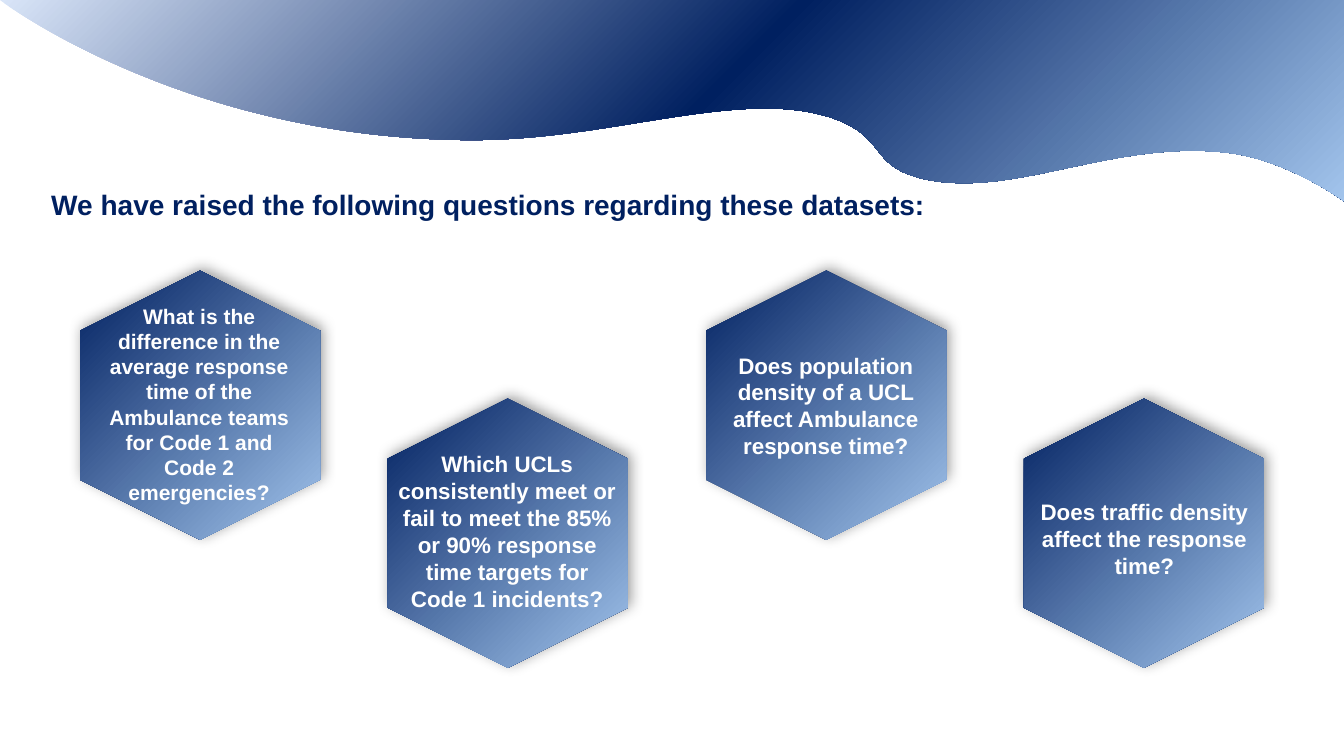
from pptx import Presentation
from pptx.dml.color import RGBColor
from pptx.enum.shapes import MSO_SHAPE
from pptx.enum.text import PP_ALIGN
from pptx.oxml import parse_xml
from pptx.util import Inches, Pt

NAVY, SKY, PALE, WHITE = "002060", "A3C5ED", "D9E5F8", "FFFFFF"
NAMESPACE = "http://schemas.openxmlformats.org/drawingml/2006/main"


def style_shape(shape, stops, shadow=""):
    """Give a shape a corner gradient, no line and an optional shadow."""
    shape.line.fill.background()
    stop_xml = "".join(
        f'<a:gs pos="{position * 1000}"><a:srgbClr val="{color}"/></a:gs>'
        for position, color in stops)
    gradient = parse_xml(
        f'<a:gradFill xmlns:a="{NAMESPACE}" rotWithShape="1"><a:gsLst>{stop_xml}</a:gsLst>'
        '<a:path path="circle"><a:fillToRect l="100000" t="100000"/></a:path></a:gradFill>')
    effects = parse_xml(f'<a:effectLst xmlns:a="{NAMESPACE}">{shadow}</a:effectLst>')
    outline = shape.line._get_or_add_ln()
    outline.addprevious(gradient)
    outline.addnext(effects)


def add_text(text, left, top, width, height, size, color, align):
    box = slide.shapes.add_textbox(Inches(left), Inches(top), Inches(width), Inches(height))
    box.text_frame.word_wrap = True
    paragraph = box.text_frame.paragraphs[0]
    paragraph.alignment = align
    run = paragraph.add_run()
    run.text = text
    for name, value in {"name": "Arial", "size": Pt(size), "bold": True}.items():
        setattr(run.font, name, value)
    run.font.color.rgb = RGBColor.from_string(color)


presentation = Presentation()
presentation.slide_width = Inches(13.33)
presentation.slide_height = Inches(7.5)
slide = presentation.slides.add_slide(presentation.slide_layouts[6])

# Header wave in hundredths of an inch: two control points and an end point per curve
wave_curves = [
    ((0, 0), (184, 139), (469, 139)),
    ((607, 139), (731, 88), (822, 116)),
    ((882, 135), (859, 165), (918, 178)),
    ((1007, 197), (1107, 137), (1221, 152)),
    ((1280, 160), (1335, 201), (1335, 201)),
]
builder = slide.shapes.build_freeform(0, 0, scale=Inches(0.01))
builder.add_line_segments([curve[-1] for curve in wave_curves] + [(1335, 0)], close=True)
wave = builder.convert_to_shape()
segments = wave._element.xpath(".//a:lnTo")
for segment, curve in zip(segments, wave_curves):
    points = "".join(f'<a:pt x="{x}" y="{y}"/>' for x, y in curve)
    segment.getparent().replace(segment, parse_xml(
        f'<a:cubicBezTo xmlns:a="{NAMESPACE}">{points}</a:cubicBezTo>'))
style_shape(wave, [(0, SKY), (48, NAVY), (100, PALE)])

add_text("We have raised the following questions regarding these datasets:",
         0.41, 1.81, 9.08, 0.44, 20, NAVY, PP_ALIGN.LEFT)

# Hexagon left and top, then question, its box and its text size
HIGH, LOW = 2.83, 4.1
questions = [
    (0.65, HIGH, "What is the difference in the average response time of the Ambulance teams "
     "for Code 1 and Code 2 emergencies?", (0.88, 2.96, 2.19, 2.12), 15),
    (3.7, LOW, "Which UCLs consistently meet or fail to meet the 85% or 90% response time "
     "targets for Code 1 incidents?", (3.84, 4.42, 2.38, 1.99), 16),
    (6.86, HIGH, "Does population density of a UCL affect Ambulance response time?",
     (7, 3.44, 2.38, 1.45), 16),
    (10.01, LOW, "Does traffic density affect the response time?",
     (10.16, 4.89, 2.38, 1.18), 16),
]
hexagon_shadow = (
    f'<a:outerShdw blurRad="{Pt(10)}" dist="{Pt(3)}" dir="{310 * 60000}" rotWithShape="0">'
    '<a:srgbClr val="000000"><a:alpha val="40000"/></a:srgbClr></a:outerShdw>')
for left, top, question, box, size in questions:
    hexagon = slide.shapes.add_shape(
        MSO_SHAPE.HEXAGON, Inches(left), Inches(top), Inches(2.67), Inches(2.38))
    hexagon.rotation = 90
    hexagon.adjustments[0] = 0.25
    style_shape(hexagon, [(0, SKY), (100, NAVY)], hexagon_shadow)
    add_text(question, *box, size, WHITE, PP_ALIGN.CENTER)

presentation.save("out.pptx")
